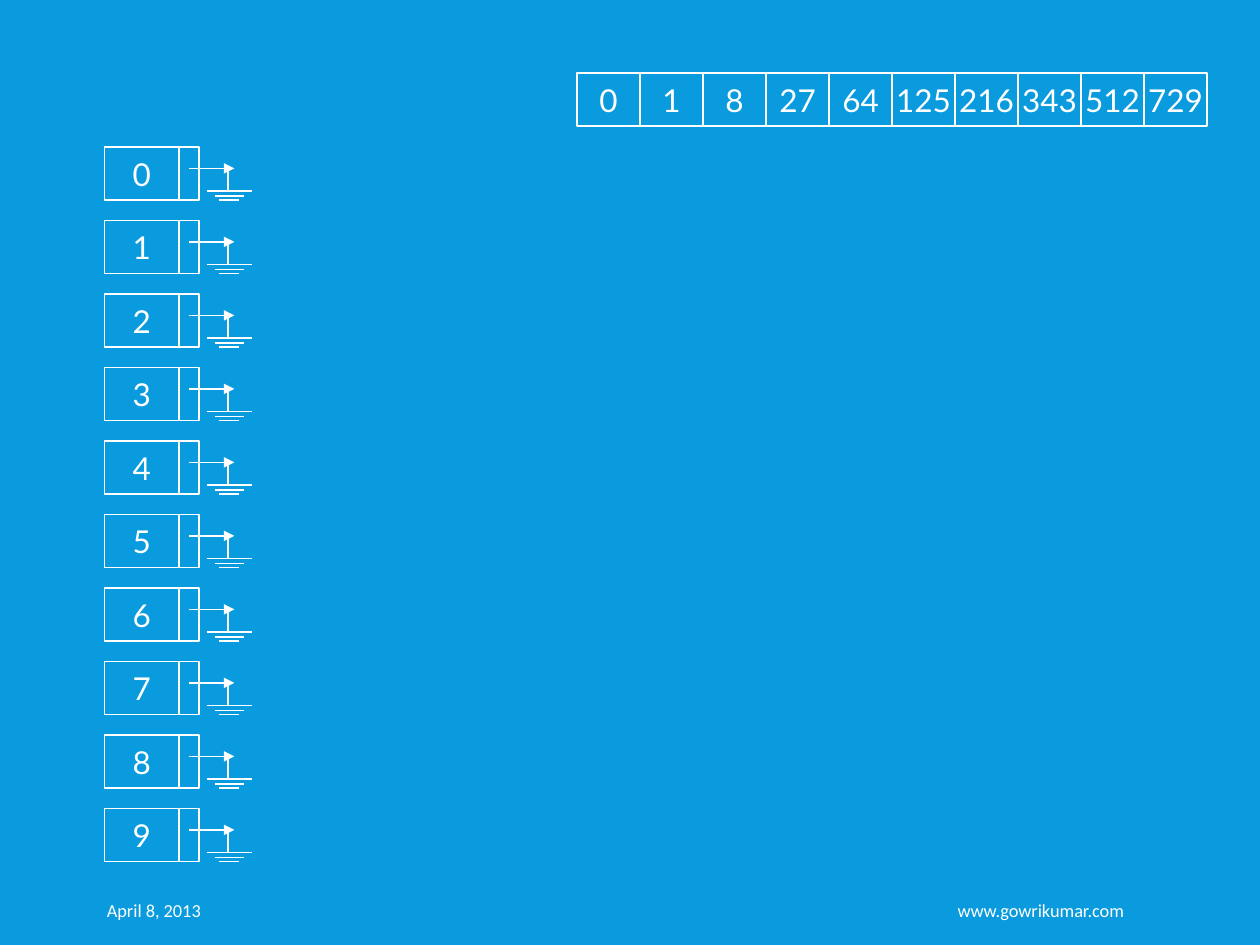
"""Build the slide of ten list nodes beside an array of cubes."""
from dataclasses import dataclass

from lxml import etree
from pptx import Presentation
from pptx import util as u
from pptx.dml.color import RGBColor
from pptx.enum import shapes, text
from pptx.oxml.ns import qn


@dataclass(frozen=True)
class Theme:
    back: RGBColor = RGBColor(0x09, 0x9B, 0xDD)
    ink: RGBColor = RGBColor(0xFF, 0xFF, 0xFF)
    box_font: str = "Lato"
    box_size: float = 18
    footer_font: str = "Calibri"
    footer_size: float = 10.5
    line: float = 0.75


@dataclass(frozen=True)
class Box:
    x: float
    y: float
    w: float
    h: float
    label: str = ""


@dataclass(frozen=True)
class Line:
    x1: float
    y1: float
    x2: float
    y2: float
    arrow: bool = False


@dataclass(frozen=True)
class Footer:
    label: str
    x: float
    w: float
    align: text.PP_ALIGN
    left: float
    right: float


THEME = Theme()
COUNT = 10
BOX_H = 0.42
ROW_PITCH = 7 / 12
NODE_LEFT, NODE_W, POINTER_W = 0.83, 0.59, 0.16
ARRAY_LEFT, ARRAY_TOP, CELL_W = 4.58, 0.58, 0.5
FOOTER_TOP, FOOTER_H = 7.02, 0.4
NULL_LINES = (
    Line(1.5, 0.17, 1.86, 0.17, arrow=True),
    Line(1.64, 0.35, 2, 0.35),
    Line(1.74, 0.42, 1.9, 0.42),
    Line(1.71, 0.39, 1.94, 0.39),
    Line(1.81, 0.35, 1.81, 0.17),
)
FOOTERS = (
    Footer("April 8, 2013", 0.75, 2.84, text.PP_ALIGN.LEFT, 0.1, 0.05),
    Footer("www.gowrikumar.com", 4.58, 4.44, text.PP_ALIGN.RIGHT, 0.1, 0.1),
)


def write(tf, label: str, font: str, size: float, align: text.PP_ALIGN) -> None:
    """Put one formatted line in a text frame."""
    tf.text = label
    tf.vertical_anchor = text.MSO_ANCHOR.MIDDLE
    p = tf.paragraphs[0]
    p.alignment = align
    for r in p.runs:
        r.font.name = font
        r.font.size = u.Pt(size)
        r.font.color.rgb = THEME.ink


def draw_box(tree, box: Box) -> None:
    """Draw an outlined box with its label, if any."""
    sp = tree.add_shape(shapes.MSO_SHAPE.RECTANGLE,
                        *map(u.Inches, (box.x, box.y, box.w, box.h)))
    sp.shadow.inherit = False
    sp.fill.background()
    sp.line.color.rgb = THEME.ink
    sp.line.width = u.Pt(THEME.line)
    if box.label:
        sp.text_frame.word_wrap = False
        write(sp.text_frame, box.label, THEME.box_font, THEME.box_size,
              text.PP_ALIGN.CENTER)


def draw_line(tree, line: Line, top: float) -> None:
    """Draw a line whose heights are measured from top."""
    ends = (line.x1, top + line.y1, line.x2, top + line.y2)
    cx = tree.add_connector(shapes.MSO_CONNECTOR.STRAIGHT, *map(u.Inches, ends))
    cx.line.color.rgb = THEME.ink
    cx.line.width = u.Pt(THEME.line)
    if line.arrow:
        etree.SubElement(cx.line._get_or_add_ln(), qn("a:tailEnd"), type="triangle")
    etree.SubElement(cx._element.spPr, qn("a:effectLst"))


def draw_node(slide, index: int) -> None:
    """Draw a list node and its grounded null pointer as a group."""
    tree = slide.shapes.add_group_shape().shapes
    top = ROW_PITCH * (index + 2)
    draw_box(tree, Box(NODE_LEFT, top, NODE_W, BOX_H, str(index)))
    draw_box(tree, Box(NODE_LEFT + NODE_W, top, POINTER_W, BOX_H))
    for line in NULL_LINES:
        draw_line(tree, line, top)


def draw_footer(slide, footer: Footer) -> None:
    """Draw one footer text."""
    sp = slide.shapes.add_textbox(
        *map(u.Inches, (footer.x, FOOTER_TOP, footer.w, FOOTER_H)))
    tf = sp.text_frame
    tf.word_wrap = True
    tf.margin_left, tf.margin_right = u.Inches(footer.left), u.Inches(footer.right)
    write(tf, footer.label, THEME.footer_font, THEME.footer_size, footer.align)


def main() -> None:
    """Build and save the slide."""
    prs = Presentation()
    prs.slide_width, prs.slide_height = u.Inches(10), u.Inches(7.5)
    slide = prs.slides.add_slide(prs.slide_layouts[6])
    slide.background.fill.solid()
    slide.background.fill.fore_color.rgb = THEME.back
    for footer in FOOTERS:
        draw_footer(slide, footer)
    for i in range(COUNT):
        draw_box(slide.shapes, Box(ARRAY_LEFT + i * CELL_W, ARRAY_TOP,
                                   CELL_W, BOX_H, str(i ** 3)))
        draw_node(slide, i)
    prs.save("out.pptx")


if __name__ == "__main__":
    main()
